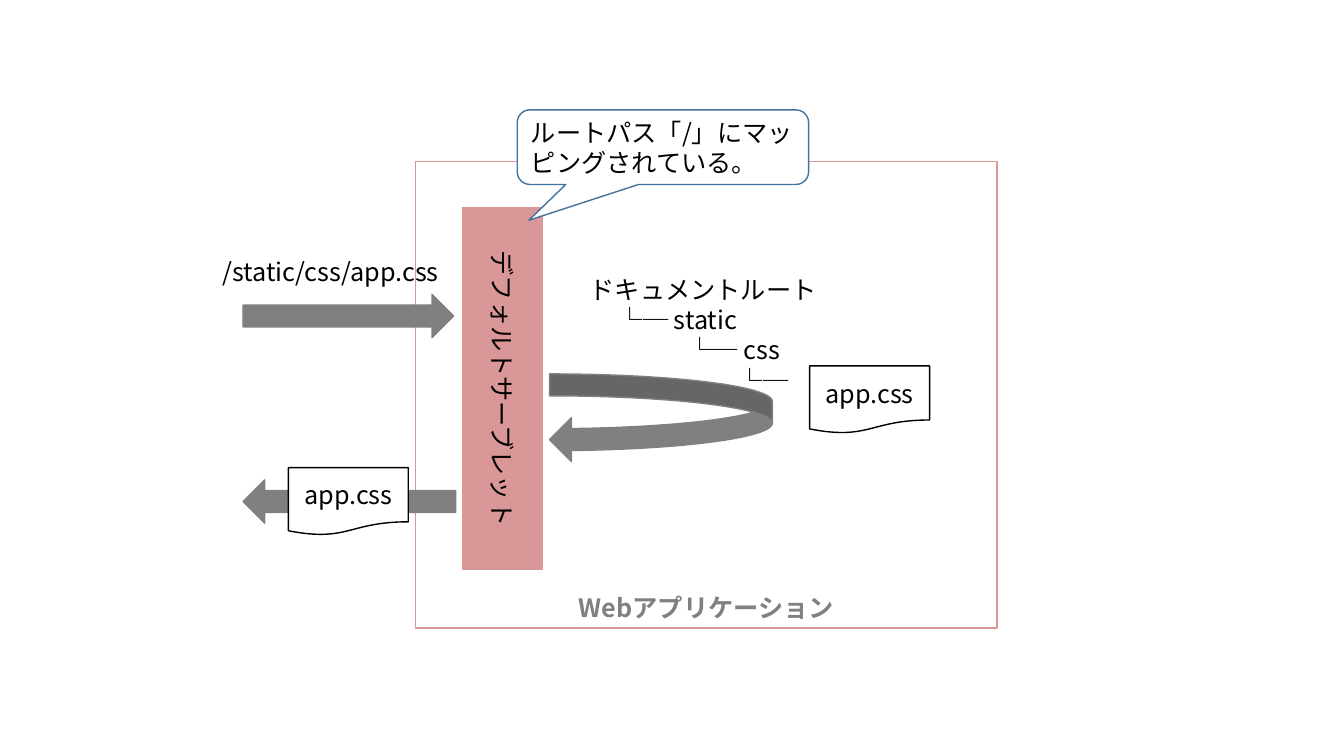
from lxml import etree
from pptx import Presentation, util as u
from pptx.dml.color import RGBColor
from pptx.enum import lang, shapes, text
from pptx.oxml import ns

TONE = {"rose": "D99897", "gray": "808080", "blue": "43739E",
        "white": "FFFFFF", "black": "000000"}
FORM = shapes.MSO_SHAPE
LEFT, MID = text.PP_ALIGN.LEFT, text.PP_ALIGN.CENTER


class Board:
    """Draws styled elements on a slide with a grid of 0.1 inch cells."""

    def __init__(self, deck, font="Noto Sans CJK JP", size=18, cell=0.1):
        self.slide = deck.slides.add_slide(deck.slide_layouts[6])
        self.font, self.size, self.cell = font, size, cell

    def place(self, *cells):
        return [u.Inches(n * self.cell) for n in cells]

    def label(self, frame, lines, tone="black", bold=False, align=LEFT):
        frame.text = "\n".join(lines)
        for para in frame.paragraphs:
            para.alignment = align
            for run in para.runs:
                font = run.font
                font.name, font.size, font.bold = self.font, u.Pt(self.size), bold
                font.color.rgb = RGBColor.from_string(TONE[tone])
                font.language_id = lang.MSO_LANGUAGE_ID.JAPANESE
                east = etree.SubElement(run._r.get_or_add_rPr(), ns.qn("a:ea"))
                east.set("typeface", self.font)

    def shape(self, form, box, fill, line, width=1):
        item = self.slide.shapes.add_shape(form, *self.place(*box))
        item.shadow.inherit = False
        if fill:
            item.fill.solid()
            item.fill.fore_color.rgb = RGBColor.from_string(TONE[fill])
        else:
            item.fill.background()
        item.line.color.rgb = RGBColor.from_string(TONE[line])
        item.line.width = u.Pt(width)
        return item

    def panel(self, form, box, words, fill, line, width=1, tone="black",
              bold=False, align=MID, anchor=text.MSO_ANCHOR.MIDDLE):
        item = self.shape(form, box, fill, line, width)
        item.text_frame.word_wrap = True
        item.text_frame.vertical_anchor = anchor
        self.label(item.text_frame, [words], tone, bold, align)
        return item

    def arrow(self, form, box, turn=0):
        self.shape(form, box, "gray", "gray").rotation = turn

    def page(self, left, top):
        self.panel(FORM.FLOWCHART_DOCUMENT, (left, top, 11.9, 6.7),
                   "app.css", "white", "black")

    def note(self, box, lines, dents=(0,)):
        frame = self.slide.shapes.add_textbox(*self.place(*box)).text_frame
        frame.word_wrap = True
        self.label(frame, lines)
        for para, dent in zip(frame.paragraphs, dents):
            props = para._p.get_or_add_pPr()
            props.set("marL", str(self.place(dent)[0]))
            props.set("indent", "0")


def main():
    deck = Presentation()
    deck.slide_width, deck.slide_height = u.Inches(13.33), u.Inches(7.5)
    board = Board(deck)

    servlet = board.panel(FORM.RECTANGLE, (45.9, 20.6, 7.9, 35.9),
                          "デフォルトサーブレット", "rose", "rose", 0.5)
    servlet.text_frame._txBody.bodyPr.set("vert", "vert")
    board.panel(FORM.RECTANGLE, (41.2, 16, 57.7, 46.3), "Webアプリケーション",
                None, "rose", tone="gray", bold=True,
                anchor=text.MSO_ANCHOR.BOTTOM)
    board.page(80.3, 36.3)
    board.note((57.5, 26.7, 36.5, 13.1),
               ["ドキュメントルート", "└─ static", "└─ css", "└─"],
               (0, 2.8, 9.7, 14.7))

    callout = board.panel(FORM.ROUNDED_RECTANGULAR_CALLOUT,
                          (51.3, 10.9, 28.9, 7.4),
                          "ルートパス「/」にマッピングされている。",
                          "white", "blue", align=LEFT)
    for spot, value in enumerate((-0.46, 0.98, 0.17)):
        callout.adjustments[spot] = value

    board.arrow(FORM.RIGHT_ARROW, (24.1, 29.2, 20.9, 4.3))
    board.arrow(FORM.CURVED_LEFT_ARROW, (54.5, 37.1, 22.1, 8.7))
    board.arrow(FORM.RIGHT_ARROW, (24.1, 47.6, 21.1, 4.3), 180)
    board.note((21.1, 24.9, 24.8, 4), ["/static/css/app.css"])
    board.page(28.6, 46.4)
    deck.save("out.pptx")


if __name__ == "__main__":
    main()
